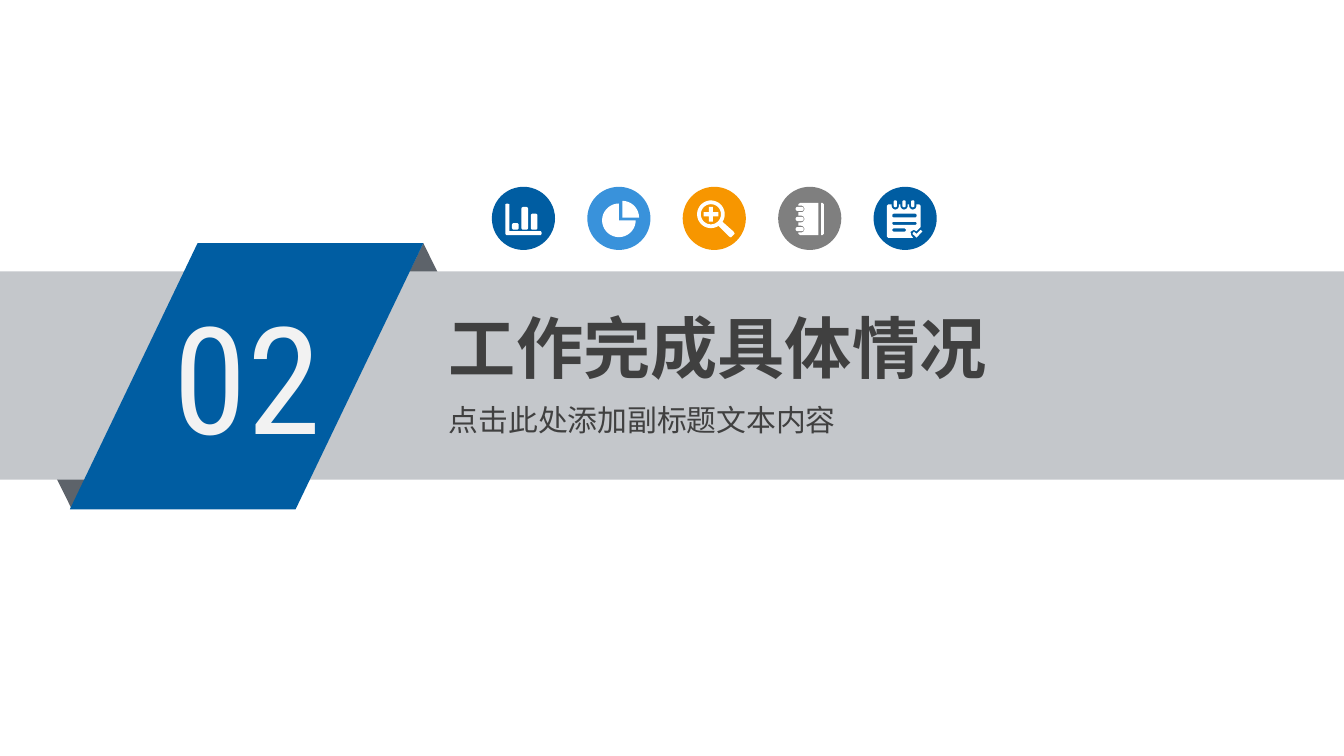
import math

import pptx
import pptx.util
import pptx.dml.color
import pptx.enum.shapes
import pptx.enum.text
import pptx.oxml.ns
from lxml import etree

Inches = pptx.util.Inches
RGBColor = pptx.dml.color.RGBColor
PRESET = pptx.enum.shapes.MSO_SHAPE

BLUE = RGBColor(0x00, 0x5D, 0xA2)
SKY = RGBColor(0x39, 0x92, 0xDB)
ORANGE = RGBColor(0xF7, 0x96, 0x00)
GREY = RGBColor(0x7F, 0x7F, 0x7F)
BAND = RGBColor(0xC4, 0xC7, 0xCB)
FOLD = RGBColor(0x5D, 0x63, 0x6A)
INK = RGBColor(0x40, 0x40, 0x40)
PALE = RGBColor(0xF2, 0xF2, 0xF2)
WHITE = RGBColor(0xFF, 0xFF, 0xFF)

CJK_FONT = "Noto Sans CJK SC"
NUMBER_FONT = "Roboto Condensed"
SLIDE_WIDTH = Inches(10)
SLIDE_HEIGHT = SLIDE_WIDTH * 9 // 16
ICON_SIZE = 0.47


def set_attributes(target, values):
    for key, value in values.items():
        setattr(target, key, value)


def paint(shape, color):
    shape.shadow.inherit = False
    shape.fill.solid()
    shape.fill.fore_color.rgb = color
    shape.line.fill.background()
    return shape


def add_preset(shapes, preset, left, top, width, height, color):
    box = map(Inches, (left, top, width, height))
    return paint(shapes.add_shape(preset, *box), color)


def write(holder, text, box, side_inset, color, font_format):
    """Place a text holder and fill it with one left-aligned line."""
    set_attributes(holder, dict(zip(("left", "top", "width", "height"), map(Inches, box))))
    frame = holder.text_frame
    set_attributes(frame, {
        "margin_left": Inches(side_inset), "margin_right": Inches(side_inset),
        "margin_top": Inches(0.04), "margin_bottom": Inches(0.04),
        "word_wrap": True,
        "auto_size": pptx.enum.text.MSO_AUTO_SIZE.SHAPE_TO_FIT_TEXT,
        "vertical_anchor": pptx.enum.text.MSO_ANCHOR.TOP,
    })
    frame.text = text
    line = frame.paragraphs[0]
    set_attributes(line, {"alignment": pptx.enum.text.PP_ALIGN.LEFT,
                          "space_before": pptx.util.Pt(0)})
    run = line.runs[0]
    set_attributes(run.font, font_format)
    run.font.color.rgb = color
    east_asian = etree.SubElement(run.font._element, pptx.oxml.ns.qn("a:ea"))
    east_asian.set("typeface", font_format["name"])


# Icon outlines: points in hundredths of an inch from the disc's top left corner.
def arc(x, y, radius, start=0, end=360):
    steps = max(8, math.ceil(abs(end - start) / 10))
    angles = [math.radians(start + (end - start) * i / steps) for i in range(steps + 1)]
    return [(x + radius * math.cos(a), y + radius * math.sin(a)) for a in angles]


def rounded(left, top, right, bottom, radius=1):
    return (arc(right - radius, bottom - radius, radius, 0, 90)
            + arc(left + radius, bottom - radius, radius, 90, 180)
            + arc(left + radius, top + radius, radius, 180, 270)
            + arc(right - radius, top + radius, radius, 270, 360))


def bar_chart_icon():
    axes = [(10, 13), (11, 12.6), (12, 12.6), (13, 13), (13, 33), (36.5, 33),
            (37, 34), (37, 35), (36.5, 36), (11, 36), (10, 35)]
    bars = [(15, 27), (22, 15), (29, 20)]
    return [axes] + [rounded(x, y, x + 5, 32, 1.5) for x, y in bars]


def pie_chart_icon():
    return [[(26, 23)] + arc(26, 23, 12.5, -90, 0),
            [(23.5, 25)] + arc(23.5, 25, 12.5, 0, 270)]


def magnifier_icon():
    x, y, reach, half = 21, 20.5, 5.5, 1.5
    glass = arc(x, y, 10.3, 57, 393) + [(38, 33.5), (38.7, 35), (36, 37.7), (34.5, 37)]
    corner = [(reach, -half), (reach, half), (half, half)]
    plus = []
    for _ in range(4):
        plus += [(x + dx, y + dy) for dx, dy in corner]
        corner = [(-dy, dx) for dx, dy in corner]
    return [glass, arc(x, y, 7.5), plus]


def notebook_icon():
    rings = (31.5, 24, 16.5)
    cover = [(30, 12), (30, 36), (16.5, 36), (15, 35)]
    for y in rings:
        cover += [(15, y + 2.5)] + arc(17, y, 2.5, 90, -90) + [(15, y - 2.5)]
    cover += [(15, 13), (16.5, 12)]
    spine = [(32, 12), (33, 12), (34, 13), (34, 35), (33, 36), (32, 36)]
    return [cover, spine] + [rounded(13, y - 1.5, 19, y + 1.5, 1.4) for y in rings]


def checklist_icon():
    rings = (16.2, 22.7, 29.2)
    page = [(10, 37), (10, 14), (11, 13)]
    for x in rings:
        page += [(x - 2.7, 13)] + arc(x, 14.2, 2.7, 180, 0) + [(x + 2.7, 13)]
    page += [(34, 13), (35, 14), (35, 30), (32, 33), (30, 32),
             (27.5, 33.5), (28, 36), (29.5, 38), (11, 38)]
    lines = [(20, 32, 2.8), (26, 32, 2.3), (31, 24, 2.3)]
    check = [(29, 35), (30, 33.3), (32, 35), (35, 32), (36.3, 33.3), (32, 37.8)]
    return ([page, check]
            + [rounded(14, y, right, y + height) for y, right, height in lines]
            + [rounded(x - 1.2, 10, x + 1.2, 15.2, 1.1) for x in rings])


def add_icon(shapes, left, top, color, outlines):
    icon = shapes.add_group_shape().shapes
    add_preset(icon, PRESET.OVAL, left, top, ICON_SIZE, ICON_SIZE, color)
    outlines = [[(Inches(x / 100), Inches(y / 100)) for x, y in points] for points in outlines]
    builder = icon.build_freeform(*outlines[0][0])
    for index, points in enumerate(outlines):
        if index:
            builder.move_to(*points[0])
        builder.add_line_segments(points[1:], close=True)
    paint(builder.convert_to_shape(Inches(left), Inches(top)), WHITE)


def add_icon_row(shapes, left, top, pitch):
    icons = [(BLUE, bar_chart_icon), (SKY, pie_chart_icon), (ORANGE, magnifier_icon),
             (GREY, notebook_icon), (BLUE, checklist_icon)]
    for index, (color, outlines) in enumerate(icons):
        add_icon(shapes, left + index * pitch, top, color, outlines())


def add_banner(shapes, left, top, width, height, number):
    """Full-width band with a folded ribbon that carries the section number."""
    banner = shapes.add_group_shape().shapes
    overhang, fold_height = 0.21, 0.91
    add_preset(banner, PRESET.ISOSCELES_TRIANGLE,
               left + 2.7, top - overhang, 0.9, fold_height, FOLD)
    lower_fold = add_preset(banner, PRESET.ISOSCELES_TRIANGLE, left + 0.08,
                            top + height + overhang - fold_height, 0.9, fold_height, FOLD)
    lower_fold.rotation = 180
    add_preset(banner, PRESET.RECTANGLE, left, top, width, height, BAND)
    ribbon = add_preset(banner, PRESET.PARALLELOGRAM,
                        left + 0.52, top - overhang, 2.63, 1.98, BLUE)
    ribbon.adjustments[0] = 0.48
    write(banner.add_textbox(0, 0, 0, 0), number, (left + 1.22, top + 0.06, 1.45, 1.42),
          0.07, PALE, {"name": NUMBER_FONT, "size": pptx.util.Pt(80)})


def add_headings(slide, left, top, title, subtitle):
    rows = [(title, 0, 5.52, 0.68, 36, True), (subtitle, 0.71, 3.36, 0.35, 16, False)]
    for holder, (text, offset, width, height, size, bold) in zip(slide.placeholders, rows):
        write(holder, text, (left, top + offset, width, height), 0.08, INK,
              {"name": CJK_FONT, "size": pptx.util.Pt(size), "bold": bold})
        # Bring the heading in front of the band.
        holder._element.getparent().append(holder._element)


def main():
    deck = pptx.Presentation()
    set_attributes(deck, {"slide_width": SLIDE_WIDTH, "slide_height": SLIDE_HEIGHT})
    slide = deck.slides.add_slide(deck.slide_layouts[0])
    add_banner(slide.shapes, 0, 2.02, 10, 1.55, "02")
    add_headings(slide, 3.26, 2.24, "工作完成具体情况", "点击此处添加副标题文本内容")
    add_icon_row(slide.shapes, 3.66, 1.39, 0.71)
    deck.save("out.pptx")


if __name__ == "__main__":
    main()
